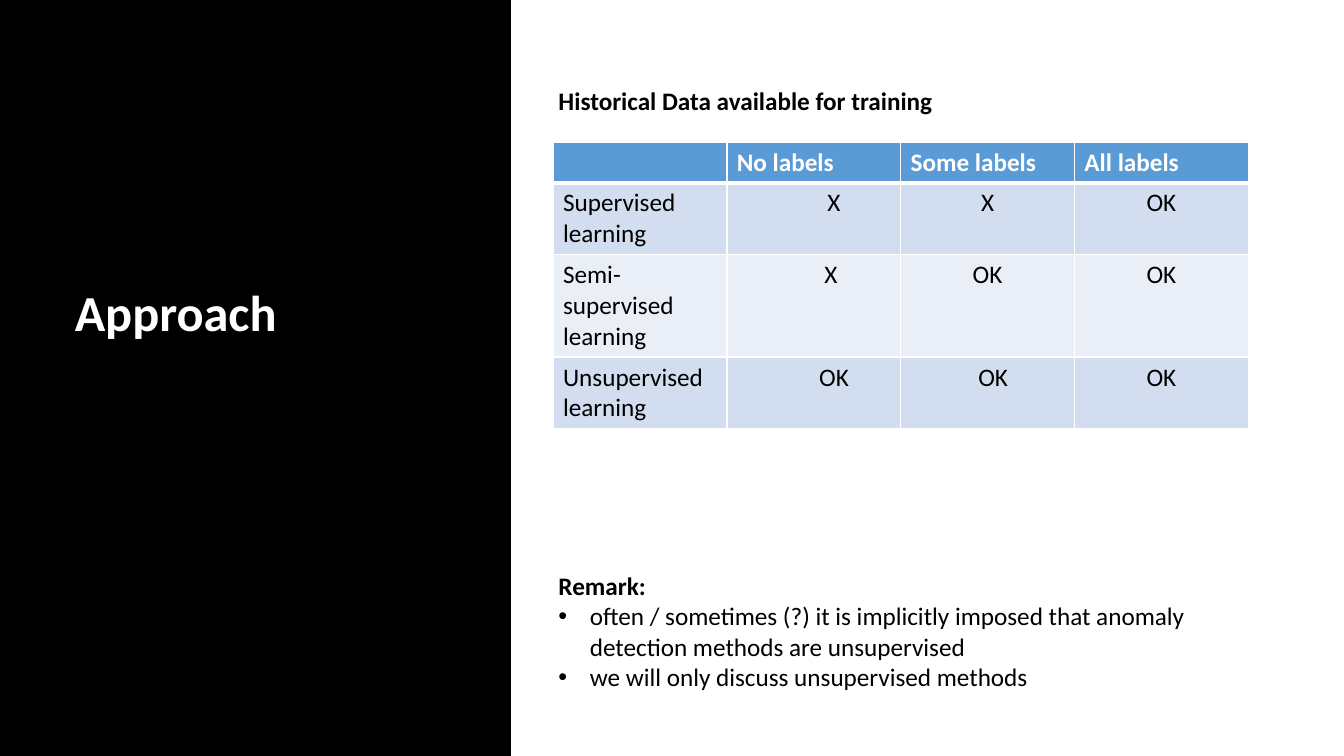
from dataclasses import dataclass

from lxml.etree import SubElement
from pptx import Presentation
from pptx.dml.color import RGBColor as Color
from pptx.enum.shapes import MSO_SHAPE as Preset
from pptx.enum.text import MSO_ANCHOR as Anchor, MSO_AUTO_SIZE as AutoSize, PP_ALIGN as Align
from pptx.oxml.ns import qn
from pptx.util import Cm, Pt


@dataclass(frozen=True)
class Theme:
    font: str = "Calibri"
    title_size: int = 36
    text_size: int = 18
    black: str = "000000"
    white: str = "FFFFFF"
    header: str = "5B9BD5"
    bands: tuple = ("D2DEEF", "EAEFF7")


theme = Theme()


def add_span(para, text, color, size=theme.text_size, bold=False):
    span = para.add_run()
    span.text = text
    span.font.name = theme.font
    span.font.size = Pt(size)
    span.font.bold = bold
    span.font.color.rgb = Color.from_string(color)


def place(box, left, top, width, height):
    box.left, box.top, box.width, box.height = Cm(left), Cm(top), Cm(width), Cm(height)
    box.text_frame.word_wrap = True
    box.text_frame.auto_size = AutoSize.NONE


deck = Presentation()
deck.slide_width, deck.slide_height = Cm(33.87), Cm(19.05)
page = deck.slides.add_slide(deck.slide_layouts.get_by_name("Two Content"))
page.background.fill.solid()
page.background.fill.fore_color.rgb = Color.from_string(theme.black)
title, heading, remark = page.placeholders

place(title, 1.63, 3.58, 10.19, 8.53)
title.text_frame.vertical_anchor = Anchor.MIDDLE
para = title.text_frame.paragraphs[0]
para.alignment = Align.LEFT
add_span(para, "Approach", theme.white, theme.title_size, True)

panel = page.shapes.add_shape(Preset.RECTANGLE, Cm(12.88), Cm(0), Cm(20.99), Cm(19.05))
panel.shadow.inherit = False
panel.fill.solid()
panel.fill.fore_color.rgb = Color.from_string(theme.white)
panel.line.fill.background()
title.element.addnext(panel.element)

place(heading, 13.82, 2.11, 16.89, 2.39)
para = heading.text_frame.paragraphs[0]
para.line_spacing = 0.9
para.space_before = Pt(10)
add_span(para, "Historical Data available for training", theme.black, bold=True)

place(remark, 13.82, 14.25, 18.52, 3.33)
remark_lines = [
    "Remark:",
    "often / sometimes (?) it is implicitly imposed that anomaly detection methods are unsupervised",
    "we will only discuss unsupervised methods",
]
for index, line in enumerate(remark_lines):
    para = remark.text_frame.paragraphs[0] if index == 0 else remark.text_frame.add_paragraph()
    para.space_before = Pt(0)
    add_span(para, line, theme.black, bold=index == 0)

for para in [*heading.text_frame.paragraphs, *remark.text_frame.paragraphs]:
    bulleted = para.text in remark_lines[1:]
    indent = Cm(0.79) if bulleted else 0
    properties = para._p.get_or_add_pPr()
    properties.set("marL", str(indent))
    properties.set("indent", str(-indent))
    if bulleted:
        SubElement(properties, qn("a:buFont"), typeface="Arial")
        SubElement(properties, qn("a:buChar"), char="•")
    else:
        SubElement(properties, qn("a:buNone"))

rows = [
    ["", "No labels", "Some labels", "All labels"],
    ["Supervised learning", "X", "X", "OK"],
    ["Semi-supervised learning", "X", "OK", "OK"],
    ["Unsupervised learning", "OK", "OK", "OK"],
]
left_margins = {(1, 1): 1.27, (2, 1): 1.12, (3, 1): 1.27, (3, 2): 0.53}
table = page.shapes.add_table(4, 4, Cm(13.94), Cm(3.58), Cm(17.52), Cm(5.87)).table
for row_index, row in enumerate(rows):
    is_header = row_index == 0
    table.rows[row_index].height = Cm(0.94 if is_header else 1.65)
    for column_index, text in enumerate(row):
        cell = table.cell(row_index, column_index)
        cell.margin_left = Cm(left_margins.get((row_index, column_index), 0.25))
        para = cell.text_frame.paragraphs[0]
        if text:
            add_span(para, text, theme.white if is_header else theme.black, bold=is_header)
        if not is_header and column_index:
            para.alignment = Align.CENTER
        properties = cell._tc.get_or_add_tcPr()
        for side in ("L", "R", "T", "B"):
            thick = (is_header and side == "B") or (row_index == 1 and side == "T")
            border = SubElement(properties, qn(f"a:ln{side}"), w=str(Pt(3 if thick else 1)))
            SubElement(SubElement(border, qn("a:solidFill")), qn("a:srgbClr"), val=theme.white)
        cell.fill.solid()
        cell.fill.fore_color.rgb = Color.from_string(
            theme.header if is_header else theme.bands[(row_index - 1) % 2]
        )

deck.save("out.pptx")
